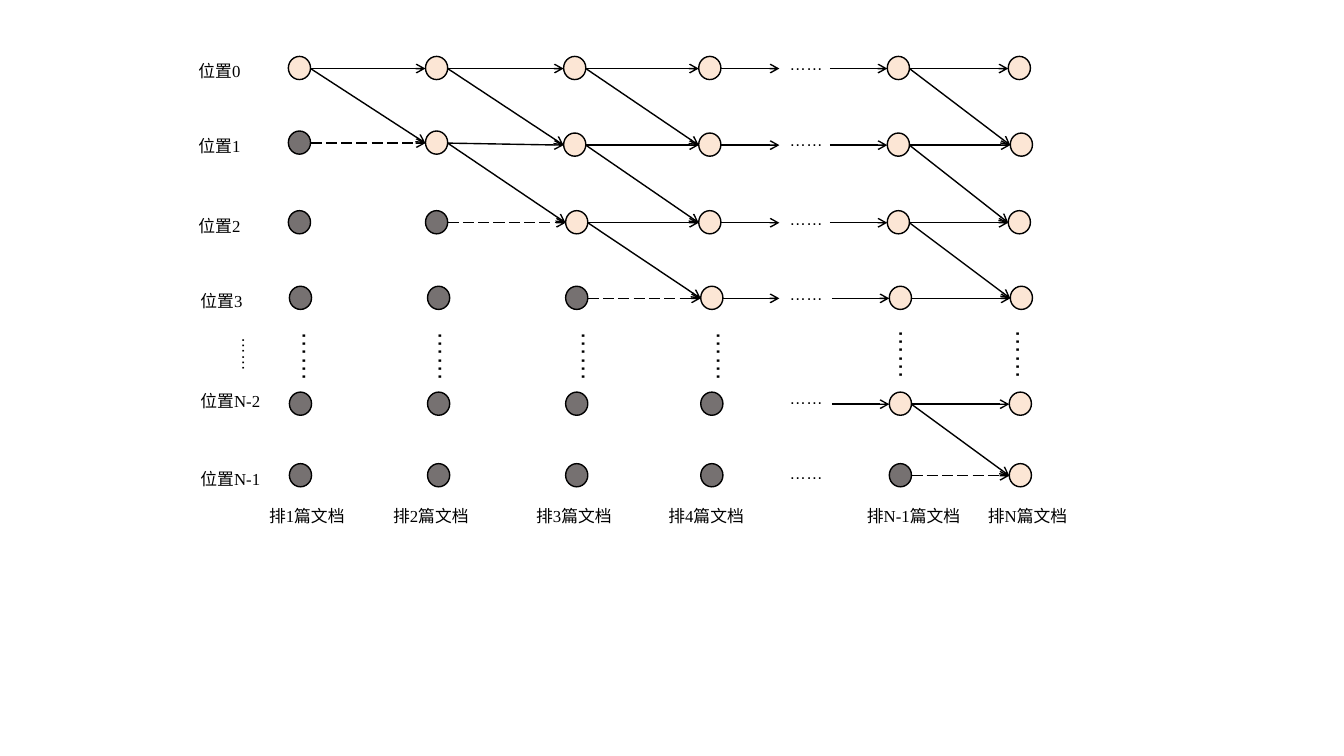
"""Build a slide showing how documents are placed into positions step by step."""
from pptx import Presentation
from pptx.dml.color import RGBColor
from pptx.enum.dml import MSO_LINE
from pptx.enum.shapes import MSO_CONNECTOR, MSO_SHAPE
from pptx.enum.text import MSO_AUTO_SIZE
from pptx.oxml.ns import qn
from pptx.util import Pt
from lxml import etree

PX = 9144
STRAIGHT = MSO_CONNECTOR.STRAIGHT
OVAL = MSO_SHAPE.OVAL
LONG_DASH = MSO_LINE.LONG_DASH
GROW = MSO_AUTO_SIZE.SHAPE_TO_FIT_TEXT
BLACK = RGBColor(0x00, 0x00, 0x00)
REACHED = RGBColor(0xFC, 0xE6, 0xD5)
UNREACHED = RGBColor(0x76, 0x71, 0x71)

NODE_WIDTH, NODE_HEIGHT = 22, 23
UPPER_LEFTS = [286, 422, 559, 693, 880, 1000]
LOWER_LEFTS = [287, 424, 561, 695, 882, 1001]
NODE_LEFTS = [
    UPPER_LEFTS,
    [286, 422, 559, 693, 880, 1002],
    [286, 422, 561, 693, 880, 1000],
    [287, 424, 561, 695, 882, 1002],
    LOWER_LEFTS,
    LOWER_LEFTS,
]
NODE_TOPS = [[56] * 6, [130] * 2 + [132] * 4, [209] * 6, [284] * 6, [389] * 6, [460] * 6]
GAP_COLUMN = 3
GAP_ROW = 3
GAP_START = 773

presentation = Presentation()
presentation.slide_width = 1333 * PX
presentation.slide_height = 750 * PX
slide = presentation.slides.add_slide(presentation.slide_layouts[6])


def add_label(text, left, top, width, height, font_name="Times New Roman", size=12, vertical=False):
    box = slide.shapes.add_textbox(left * PX, top * PX, width * PX, height * PX)
    frame = box.text_frame
    frame.word_wrap = True
    frame.auto_size = GROW
    if vertical:
        frame._txBody.find(qn("a:bodyPr")).set("vert", "eaVert")
    run = frame.paragraphs[0].add_run()
    run.text = text
    run.font.name = font_name
    run.font.size = Pt(size)
    run.font.color.rgb = BLACK


def add_arrow(start, end, dashed=False):
    arrow = slide.shapes.add_connector(STRAIGHT, *(value * PX for value in start + end))
    arrow.line.color.rgb = BLACK
    arrow.line.width = Pt(1)
    if dashed:
        arrow.line.dash_style = LONG_DASH
    etree.SubElement(arrow.line._get_or_add_ln(), qn("a:tailEnd"), type="arrow")
    etree.SubElement(arrow._element.spPr, qn("a:effectLst"))


entries, exits = {}, {}
for row, (lefts, tops) in enumerate(zip(NODE_LEFTS, NODE_TOPS)):
    for column, (left, top) in enumerate(zip(lefts, tops)):
        node = slide.shapes.add_shape(OVAL, left * PX, top * PX, NODE_WIDTH * PX, NODE_HEIGHT * PX)
        node.shadow.inherit = False
        node.fill.solid()
        node.fill.fore_color.rgb = REACHED if row <= column else UNREACHED
        node.line.color.rgb = BLACK
        node.line.width = Pt(1)
        entries[row, column] = (left, top + 12)
        exits[row, column] = (left + NODE_WIDTH, top + 12)

for row in range(6):
    for column in range(5):
        if column == GAP_COLUMN:
            continue
        if row <= column + 1:
            add_arrow(exits[row, column], entries[row, column + 1], dashed=row == column + 1)
        if row <= column and row != GAP_ROW:
            add_arrow(exits[row, column], entries[row + 1, column + 1])
    if row <= GAP_COLUMN:
        start = exits[row, GAP_COLUMN]
        add_arrow(start, (GAP_START, start[1]))
    if row <= GAP_COLUMN + 1:
        end = entries[row, GAP_COLUMN + 1]
        add_arrow((end[0] - 57, end[1]), end)

for name, left, top, width in [
    ("0", 187, 55, 84), ("1", 187, 130, 84), ("2", 187, 209, 84),
    ("3", 189, 284, 84), ("N-2", 189, 383, 127), ("N-1", 189, 460, 113),
]:
    add_label("位置" + name, left, top, width, 30)

for name, left in [("1", 257), ("2", 380), ("3", 522), ("4", 653), ("N-1", 850), ("N", 970)]:
    add_label(f"排{name}篇文档", left, 497, 120, 30)

for top in [48, 124, 202, 277, 380, 454]:
    add_label("……", GAP_START, top, 77, 30, "Arial")

add_label("……", 222, 325, 40, 82, "Arial", vertical=True)
for left, top in [(280, 319), (415, 319), (557, 319), (691, 319), (872, 317), (988, 317)]:
    add_label("……", left, top, 50, 82, "Arial", 18, vertical=True)

presentation.save("out.pptx")
